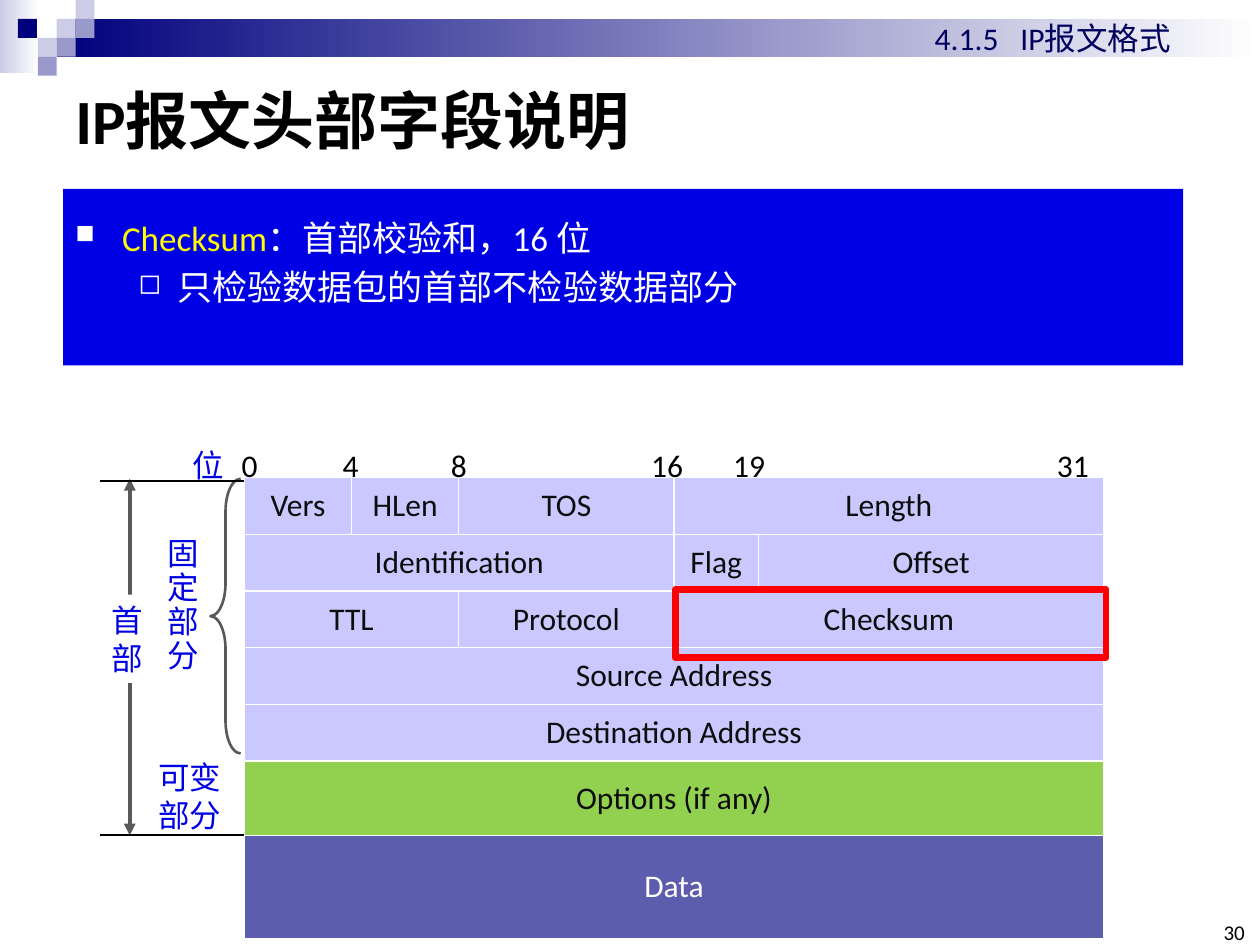
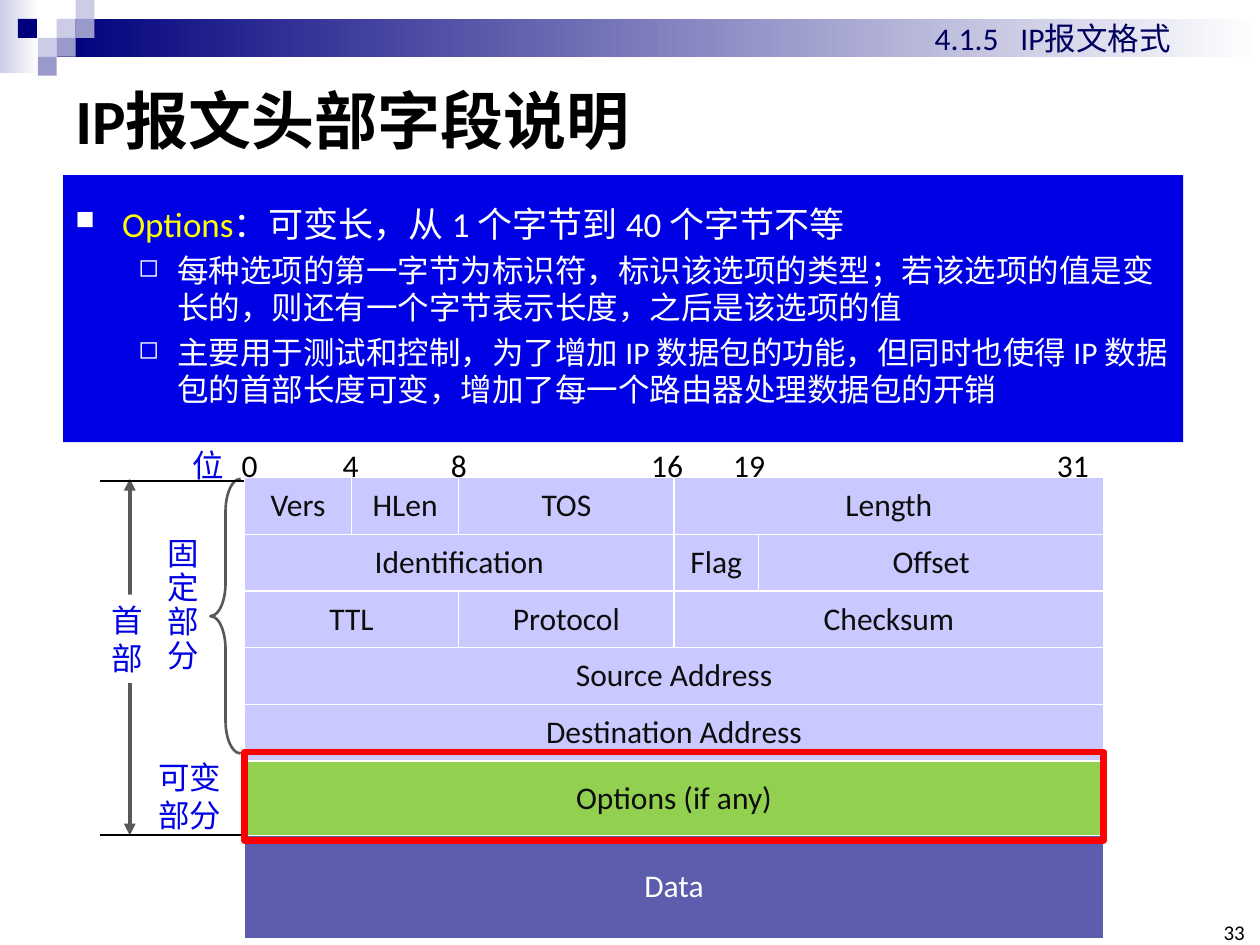
from lxml import etree
from pptx import Presentation
from pptx.dml.color import RGBColor
from pptx.enum.shapes import MSO_CONNECTOR, MSO_SHAPE
from pptx.enum.text import MSO_ANCHOR, PP_ALIGN
from pptx.oxml.ns import qn
from pptx.util import Inches, Pt

RECT, BRACE = MSO_SHAPE.RECTANGLE, MSO_SHAPE.LEFT_BRACE
STRAIGHT = MSO_CONNECTOR.STRAIGHT
TOP, MIDDLE, BOTTOM = MSO_ANCHOR.TOP, MSO_ANCHOR.MIDDLE, MSO_ANCHOR.BOTTOM
LEFT, CENTER, RIGHT = PP_ALIGN.LEFT, PP_ALIGN.CENTER, PP_ALIGN.RIGHT

LATIN, CJK = "Calibri", "Noto Sans CJK SC"
BLACK, WHITE, BLUE, NAVY = "000000", "FFFFFF", "0000E4", "00007D"
PALE, MID, GRAY, RED, YELLOW = "CCCCE6", "9999CC", "595959", "FF0000", "FFFF00"
LILAC, GREEN, PURPLE, INK = "C9C9FF", "92D050", "5D5DAE", "0D0D0D"

CELL = 0.05
SQUARE = 3
HEADER_SQUARES = [
    (3, 1, PALE), (4, 0, PALE), (4, 1, MID), (2, 2, PALE),
    (0.95, 1, NAVY), (3, 2, MID), (2, 3, MID),
]
TABLE_LEFT, TABLE_TOP = 38.8, 75.8
BIT_COLS = [17, 17, 34.2, 13.4, 54.8]
FIELD_ROWS = [9] * 5 + [11.8, 16.4]
FIELDS = [
    [("Vers", 1), ("HLen", 1), ("TOS", 1), ("Length", 2)],
    [("Identification", 3), ("Flag", 1), ("Offset", 1)],
    [("TTL", 2), ("Protocol", 1), ("Checksum", 2)],
    [("Source Address", 5)],
    [("Destination Address", 5)],
    [("Options (if any)", 5)],
    [("Data", 5)],
]
ROW_STYLES = [(LILAC, INK)] * 5 + [(GREEN, INK), (PURPLE, WHITE)]
BULLETS = [("■", 75, 0.37, 0.37), ("◻", 80, 0.81, 0.31)]

SLIDES = [
    dict(number="30", panel=(10, 30, 177.8, 28), mark=(107.2, 93.6, 68.4, 10.8),
         term="Checksum", meaning="：首部校验和，16 位", size=20,
         details=["只检验数据包的首部不检验数据部分"]),
    dict(number="33", panel=(10, 27.8, 177.8, 42.4), mark=(38.8, 119.4, 136.4, 14),
         term="Options", meaning="：可变长，从 1 个字节到 40 个字节不等", size=18,
         details=[
             "每种选项的第一字节为标识符，标识该选项的类型；若该选项的值是变长的，"
             "则还有一个字节表示长度，之后是该选项的值",
             "主要用于测试和控制，为了增加 IP 数据包的功能，但同时也使得 IP 数据包的"
             "首部长度可变，增加了每一个路由器处理数据包的开销",
         ]),
]


def rgb(value):
    return RGBColor.from_string(value)


def grid(*cells):
    return [Inches(n * CELL) for n in cells]


def add_xml(parent, tag, **attrs):
    node = etree.SubElement(parent, qn(tag))
    for key, value in attrs.items():
        node.set(key, str(value))
    return node


def add_run(p, text, size=18, color=BLACK, bold=False, font=LATIN):
    r = p.add_run()
    r.text = text
    r.font.size, r.font.bold, r.font.name = Pt(size), bold, font
    r.font.color.rgb = rgb(color)
    add_xml(r.font._element, "a:ea", typeface=CJK)


def add_tabs(p, stops):
    tabs = add_xml(p._p.get_or_add_pPr(), "a:tabLst")
    for stop in stops:
        add_xml(tabs, "a:tab", pos=Inches(stop * CELL), algn="l")


def write(tf, *lines, align=LEFT, anchor=TOP, wrap=True, spacing=None,
          inset=None, tabs=(), **font):
    tf.word_wrap, tf.vertical_anchor = wrap, anchor
    if inset is not None:
        tf.margin_left = tf.margin_right = tf.margin_top = tf.margin_bottom = inset
    for i, line in enumerate(lines):
        p = tf.add_paragraph() if i else tf.paragraphs[0]
        p.alignment = align
        if spacing:
            p.line_spacing = spacing
        add_run(p, line, **font)
        if tabs:
            add_tabs(p, tabs)


def add_text(s, box, *lines, **fmt):
    write(s.shapes.add_textbox(*grid(*box)).text_frame, *lines, **fmt)


def add_box(s, box, fill=None, fade=None, line=None, width=1, kind=RECT):
    sp = s.shapes.add_shape(kind, *grid(*box))
    sp.shadow.inherit = False
    if fade:
        sp.fill.gradient()
        sp.fill.gradient_angle = 0
        for stop, color in zip(sp.fill.gradient_stops, (fill, fade)):
            stop.color.rgb = rgb(color)
    elif fill:
        sp.fill.solid()
        sp.fill.fore_color.rgb = rgb(fill)
    else:
        sp.fill.background()
    if line:
        sp.line.color.rgb, sp.line.width = rgb(line), Pt(width)
    else:
        sp.line.fill.background()
    return sp


def add_line(s, ends, color, width, arrows=False):
    c = s.shapes.add_connector(STRAIGHT, *grid(*ends))
    c.line.color.rgb, c.line.width = rgb(color), Pt(width)
    spPr = c._element.spPr
    if arrows:
        for tag in ("a:headEnd", "a:tailEnd"):
            add_xml(spPr.find(qn("a:ln")), tag, type="triangle")
    add_xml(spPr, "a:effectLst")


def add_header(s, number):
    add_box(s, (0, 0, 6.2, 11.6), PALE, fade=WHITE)
    add_box(s, (9, SQUARE, 191, 6), NAVY, fade=WHITE)
    for col, row, color in HEADER_SQUARES:
        add_box(s, (col * SQUARE, row * SQUARE, SQUARE, SQUARE), color)
    add_text(s, (10, 10, 180, 17.8), "IP报文头部字段说明", size=36, bold=True, anchor=MIDDLE)
    add_text(s, (193, 146.6, 4.6, 3.4), number, size=12, align=RIGHT, anchor=BOTTOM,
             wrap=False, inset=0)
    add_text(s, (146.4, 2, 45.8, 8), "4.1.5\tIP报文格式", color="00005E", tabs=[13.6])


def set_borders(cell, color, width):
    tcPr = cell._tc.get_or_add_tcPr()
    for i, side in enumerate(("a:lnL", "a:lnR", "a:lnT", "a:lnB")):
        ln = add_xml(tcPr, side, w=Pt(width))
        add_xml(add_xml(ln, "a:solidFill"), "a:srgbClr", val=color)
        tcPr.insert(i, ln)


def add_field_table(s):
    box = grid(TABLE_LEFT, TABLE_TOP, sum(BIT_COLS), sum(FIELD_ROWS))
    table = s.shapes.add_table(len(FIELD_ROWS), len(BIT_COLS), *box).table
    table.first_row = table.horz_banding = False
    for col, width in zip(table.columns, grid(*BIT_COLS)):
        col.width = width
    for row, height in zip(table.rows, grid(*FIELD_ROWS)):
        row.height = height
    for r, (fields, (fill, color)) in enumerate(zip(FIELDS, ROW_STYLES)):
        for cell in table.rows[r].cells:
            cell.fill.solid()
            cell.fill.fore_color.rgb = rgb(fill)
            set_borders(cell, WHITE, 1)
        c = 0
        for name, span in fields:
            cell = table.cell(r, c)
            if span > 1:
                cell.merge(table.cell(r, c + span - 1))
            write(cell.text_frame, name, align=CENTER, color=color)
            cell.vertical_anchor = MIDDLE
            c += span


def add_side_labels(s):
    label = dict(color=BLUE, wrap=False)
    add_text(s, (24.6, 84.4, 9, 23.8), *"固定部分", spacing=0.9, **label)
    add_text(s, (23.2, 119.4, 14, 14), "可变", "部分", font=CJK, **label)
    add_text(s, (36.4, 69.8, 142.2, 8), "0\t4\t8\t16\t19\t31", tabs=[16, 33.2, 65, 78, 129.4])
    add_text(s, (28.6, 69.8, 9, 8), "位", **label)
    add_line(s, (20.6, 76, 20.6, 132.6), GRAY, 2.25, arrows=True)
    write(add_box(s, (15.8, 94.4, 9, 14), WHITE).text_frame, *"首部", **label)
    brace = add_box(s, (33.4, 76, 4.8, 43.6), line=GRAY, width=1.5, kind=BRACE)
    brace.adjustments[0] = 1.08
    for y in (76.4, 132.6):
        add_line(s, (15.8, y, TABLE_LEFT, y), BLACK, 1.25)


def add_bullet(p, level, size):
    char, percent, margin, hang = BULLETS[level]
    p.level, p.alignment, p.space_before = level, LEFT, Pt(size * 0.2)
    pPr = p._p.get_or_add_pPr()
    pPr.set("marL", str(Inches(margin)))
    pPr.set("indent", str(-Inches(hang)))
    add_xml(add_xml(pPr, "a:buClr"), "a:srgbClr", val=WHITE)
    add_xml(pPr, "a:buSzPct", val=percent * 1000)
    add_xml(pPr, "a:buChar", char=char)


def add_panel(s, box, term, meaning, details, size):
    tf = add_box(s, box, BLUE).text_frame
    tf.word_wrap, tf.vertical_anchor = True, TOP
    p = tf.paragraphs[0]
    p.line_spacing = 1.5
    add_bullet(p, 0, 20)
    add_run(p, term, size=20, color=YELLOW)
    add_run(p, meaning, size=20, color=WHITE)
    for detail in details:
        p = tf.add_paragraph()
        add_bullet(p, 1, size)
        add_run(p, detail, size=size, color=WHITE)


def main():
    prs = Presentation()
    prs.slide_width, prs.slide_height = grid(200, 150)
    for page in SLIDES:
        s = prs.slides.add_slide(prs.slide_layouts[6])
        add_header(s, page["number"])
        add_field_table(s)
        add_side_labels(s)
        add_panel(s, page["panel"], page["term"], page["meaning"], page["details"], page["size"])
        add_box(s, page["mark"], line=RED, width=3.75)
    prs.save("out.pptx")


if __name__ == "__main__":
    main()
